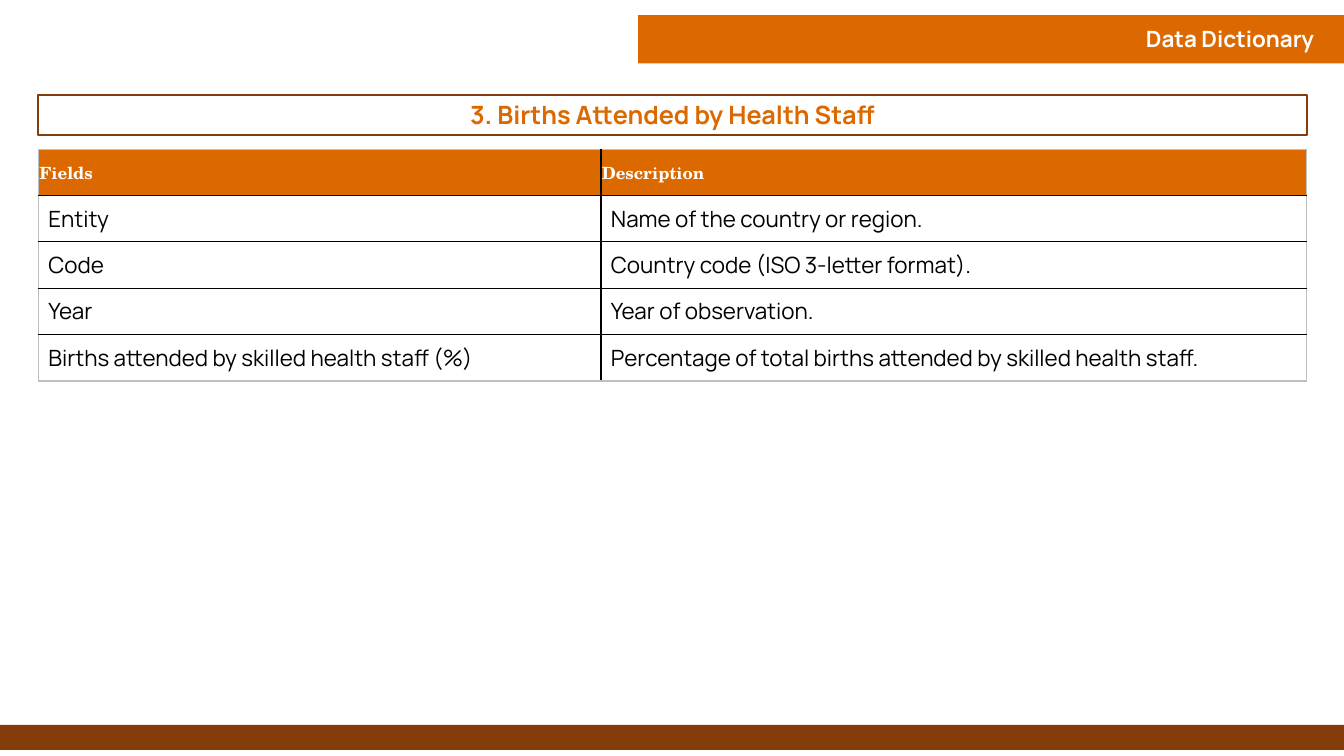
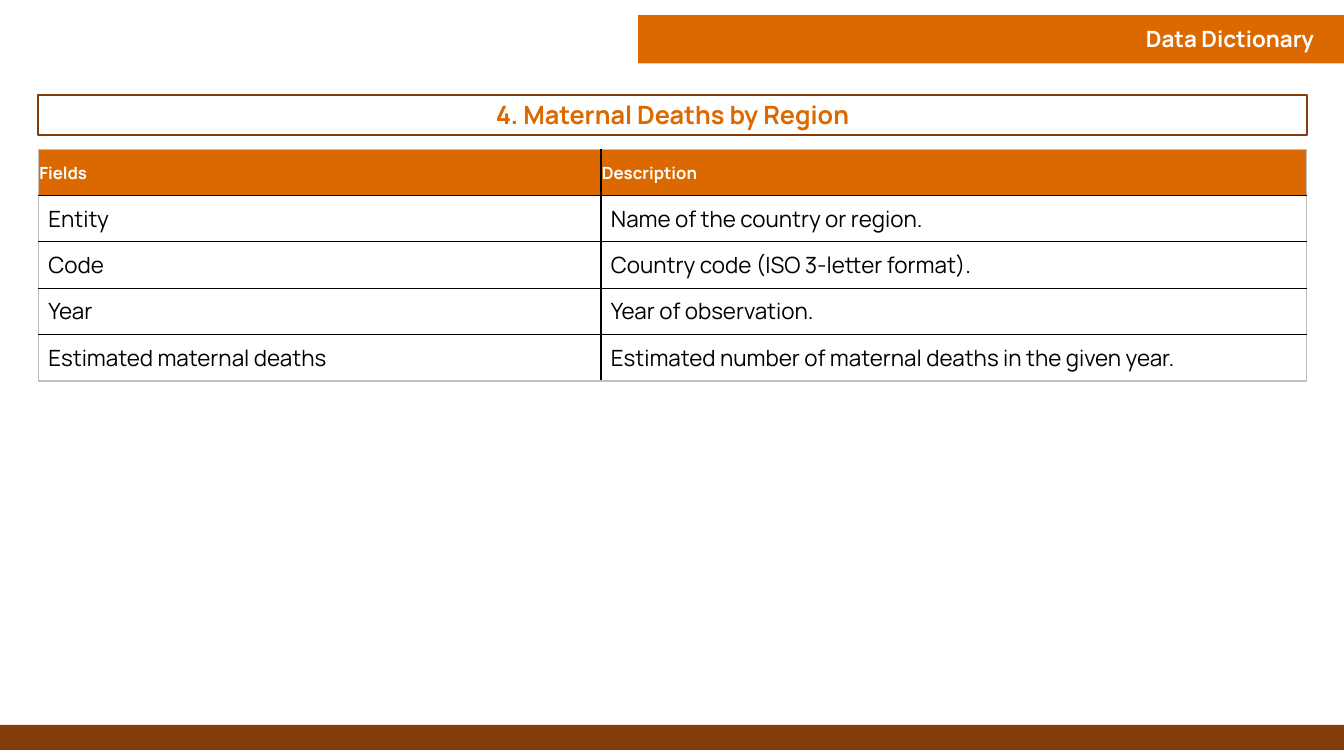
from dataclasses import dataclass

from lxml import etree
from pptx import Presentation
from pptx.dml.color import RGBColor
from pptx.enum.shapes import MSO_SHAPE
from pptx.enum.text import MSO_ANCHOR, PP_ALIGN
from pptx.oxml.ns import qn
from pptx.shapes.autoshape import Shape
from pptx.slide import Slide
from pptx.table import _Cell
from pptx.util import Inches, Pt

RECTANGLE = MSO_SHAPE.RECTANGLE
MIDDLE = MSO_ANCHOR.MIDDLE
LEFT, CENTER, RIGHT = PP_ALIGN.LEFT, PP_ALIGN.CENTER, PP_ALIGN.RIGHT


@dataclass(frozen=True)
class Theme:
    orange: str = "DC6900"
    brown: str = "843C0B"
    white: str = "FFFFFF"
    black: str = "000000"
    grey: str = "BFBFBF"
    font: str = "Manrope"
    serif: str = "TeX Gyre Schola"
    title_size: int = 18
    body_size: int = 16
    header_size: int = 12


@dataclass(frozen=True)
class Area:
    left: float
    top: float
    width: float
    height: float

    def lengths(self) -> list[int]:
        return [Inches(n) for n in (self.left, self.top, self.width, self.height)]


@dataclass(frozen=True)
class TextStyle:
    size: int
    color: str
    bold: bool = False
    font: str = Theme.font
    align: PP_ALIGN = LEFT


@dataclass(frozen=True)
class Dataset:
    title: str
    field: str
    description: str
    header_font: str


THEME = Theme()
PAGE_WIDTH, PAGE_HEIGHT = 13.33, 7.5
FOOTER = Area(0, 7.19, PAGE_WIDTH, 0.25)
BANNER = Area(6.33, 0.15, 7, 0.48)
BANNER_TEXT = Area(8.82, 0.2, 4.31, 0.37)
TITLE = Area(0.38, 0.94, 12.58, 0.4)
COLUMN_WIDTHS = (5.58, 7)
ROW_HEIGHT = 0.46
TABLE_TOP = 1.48

BANNER_STYLE = TextStyle(THEME.body_size, THEME.white, True, align=RIGHT)
TITLE_STYLE = TextStyle(THEME.title_size, THEME.orange, True, align=CENTER)
BODY_STYLE = TextStyle(THEME.body_size, THEME.black)

HEADINGS = ("Fields", "Description")
COMMON_FIELDS = (
    ("Entity", "Name of the country or region."),
    ("Code", "Country code (ISO 3-letter format)."),
    ("Year", "Year of observation."),
)
DATASETS = (
    Dataset(
        "3. Births Attended by Health Staff",
        "Births attended by skilled health staff (%)",
        "Percentage of total births attended by skilled health staff.",
        THEME.serif,
    ),
    Dataset(
        "4. Maternal Deaths by Region",
        "Estimated maternal deaths",
        "Estimated number of maternal deaths in the given year.",
        THEME.font,
    ),
)


def write(holder: Shape | _Cell, text: str, style: TextStyle) -> None:
    holder.text_frame.word_wrap = True
    para = holder.text_frame.paragraphs[0]
    para.text = text
    para.alignment = style.align
    para.font.name = style.font
    para.font.size = Pt(style.size)
    para.font.bold = style.bold
    para.font.color.rgb = RGBColor.from_string(style.color)


def add_box(page: Slide, area: Area, fill: str = "", line: str = "") -> Shape:
    box = page.shapes.add_shape(RECTANGLE, *area.lengths())
    box.shadow.inherit = False
    if fill:
        box.fill.solid()
        box.fill.fore_color.rgb = RGBColor.from_string(fill)
    else:
        box.fill.background()
    if line:
        box.line.color.rgb = RGBColor.from_string(line)
        box.line.width = Pt(1.5)
    else:
        box.line.fill.background()
    return box


def set_borders(cell: _Cell, colors: dict[str, str]) -> None:
    properties = cell._tc.get_or_add_tcPr()
    for position, (side, color) in enumerate(colors.items()):
        border = etree.Element(qn(f"a:ln{side}"), w=str(Pt(1)))
        fill = etree.SubElement(border, qn("a:solidFill"))
        etree.SubElement(fill, qn("a:srgbClr"), val=color)
        properties.insert(position, border)


def format_header(cell: _Cell) -> None:
    cell.fill.solid()
    cell.fill.fore_color.rgb = RGBColor.from_string(THEME.orange)
    cell.margin_left = cell.margin_right = cell.margin_top = Inches(0.01)
    cell.margin_bottom = 0


def add_field_table(page: Slide, dataset: Dataset) -> None:
    rows = (HEADINGS, *COMMON_FIELDS, (dataset.field, dataset.description))
    area = Area(TITLE.left, TABLE_TOP, sum(COLUMN_WIDTHS), ROW_HEIGHT * len(rows))
    table = page.shapes.add_table(len(rows), len(HEADINGS), *area.lengths()).table
    table.horz_banding = False
    for column, width in zip(table.columns, COLUMN_WIDTHS):
        column.width = Inches(width)
    header_style = TextStyle(
        THEME.header_size, THEME.white, True, dataset.header_font
    )
    last_row, last_column = len(rows) - 1, len(HEADINGS) - 1
    for r, texts in enumerate(rows):
        table.rows[r].height = Inches(ROW_HEIGHT)
        for c, text in enumerate(texts):
            cell = table.cell(r, c)
            cell.vertical_anchor = MIDDLE
            write(cell, text, BODY_STYLE if r else header_style)
            if r:
                cell.fill.background()
            else:
                format_header(cell)
            outer = {"L": c == 0, "R": c == last_column, "T": r == 0, "B": r == last_row}
            set_borders(
                cell,
                {s: THEME.grey if edge else THEME.black for s, edge in outer.items()},
            )


def add_page_frame(page: Slide) -> None:
    add_box(page, FOOTER, fill=THEME.brown)
    add_box(page, BANNER, fill=THEME.orange)
    label = page.shapes.add_textbox(*BANNER_TEXT.lengths())
    write(label, "Data Dictionary", BANNER_STYLE)


def main() -> None:
    deck = Presentation()
    deck.slide_width, deck.slide_height = Inches(PAGE_WIDTH), Inches(PAGE_HEIGHT)
    for dataset in DATASETS:
        page = deck.slides.add_slide(deck.slide_layouts[6])
        add_page_frame(page)
        write(add_box(page, TITLE, line=THEME.brown), dataset.title, TITLE_STYLE)
        add_field_table(page, dataset)
    deck.save("out.pptx")


if __name__ == "__main__":
    main()
